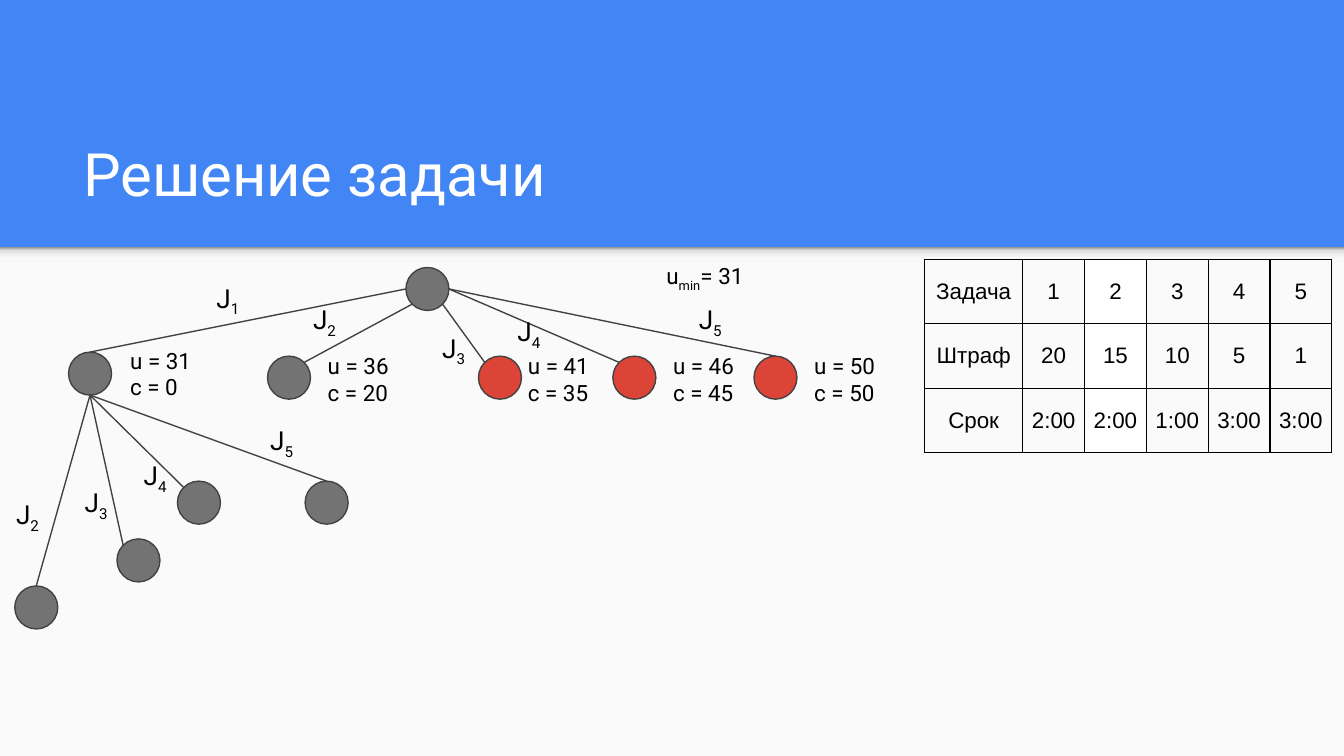
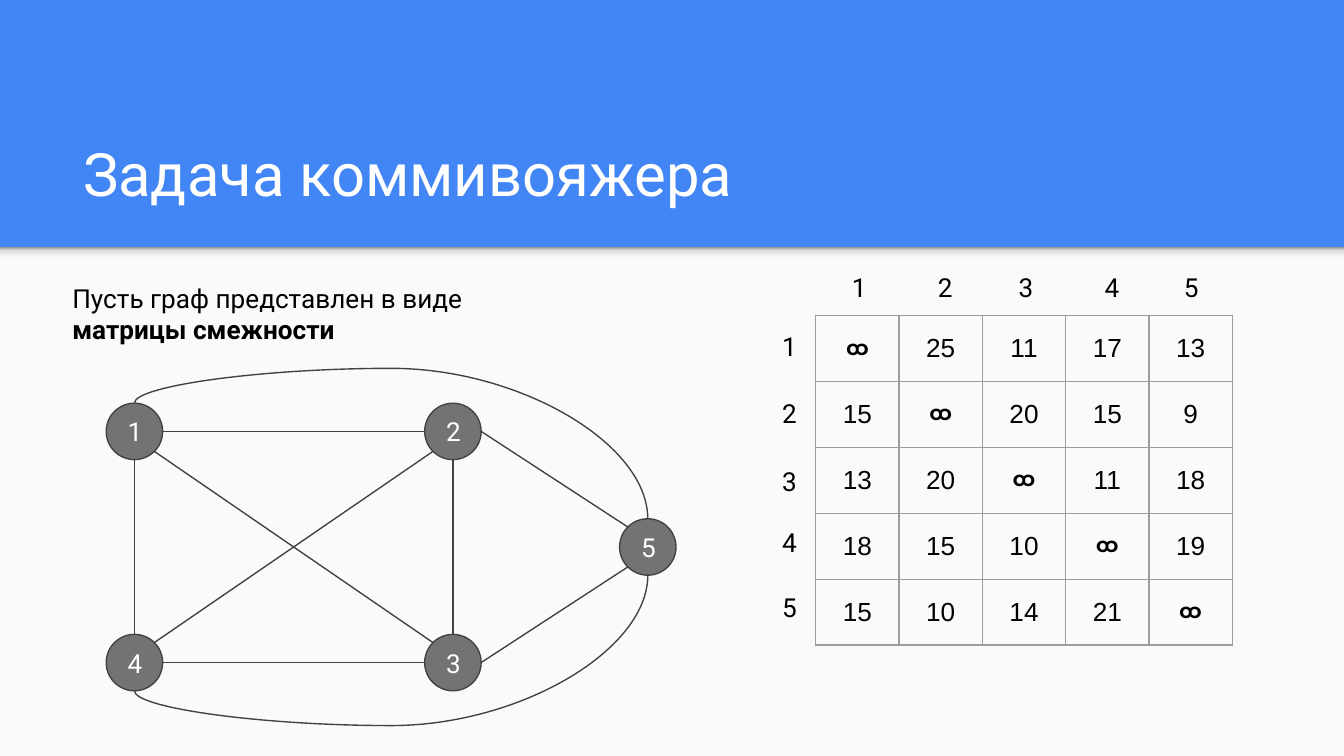
from lxml import etree
from pptx import Presentation
from pptx.dml.color import RGBColor
from pptx.enum import shapes, text
from pptx.oxml import ns
from pptx.util import Inches, Pt

BLUE = RGBColor(0x42, 0x85, 0xF4)
PAPER = RGBColor(0xFA, 0xFA, 0xFA)
WHITE = RGBColor(0xFF, 0xFF, 0xFF)
BLACK = RGBColor(0, 0, 0)
GRAY = RGBColor(0x73, 0x73, 0x73)
RED = RGBColor(0xDB, 0x44, 0x37)
OUTLINE = RGBColor(0x42, 0x42, 0x42)
MATRIX_BORDER = RGBColor(0x9E, 0x9E, 0x9E)
BAND_SHADE = [(0, "F9F9F9"), (36, "F9F9F9"), (80, "DEDEDE"), (100, "999999")]
WIDTH = 10
HEIGHT = WIDTH * 9 / 16
HEADER_HEIGHT = 1.84
LINE_WIDTH = Pt(0.75)
DIAGONAL = 0.71
SITES = {"N": (0, -1), "S": (0, 1), "W": (-1, 0), "E": (1, 0),
         "NW": (-DIAGONAL, -DIAGONAL), "NE": (DIAGONAL, -DIAGONAL),
         "SW": (-DIAGONAL, DIAGONAL), "SE": (DIAGONAL, DIAGONAL)}

TREE_RADIUS = 0.16
TREE_NODES = {
    "root": (3.18, 2.15, GRAY), "1": (0.67, 2.78, GRAY), "2": (2.15, 2.81, GRAY),
    "3": (3.72, 2.81, RED), "4": (4.72, 2.81, RED), "5": (5.77, 2.81, RED),
    "1-2": (0.27, 4.52, GRAY), "1-3": (1.03, 4.17, GRAY),
    "1-4": (1.48, 3.74, GRAY), "1-5": (2.43, 3.74, GRAY),
}
TREE_EDGES = [
    ("root", "W", "1", "N", "1", 1.49, 2),
    ("root", "SW", "2", "NE", "2", 2.21, 2.16),
    ("root", "SE", "3", "NW", "3", 3.17, 2.37),
    ("root", "E", "4", "NW", "4", 3.73, 2.25),
    ("root", "E", "5", "N", "5", 5.08, 2.16),
    ("1", "S", "1-2", "N", "2", 0, 3.61),
    ("1", "S", "1-3", "NW", "3", 0.51, 3.52),
    ("1", "S", "1-4", "NW", "4", 0.95, 3.32),
    ("1", "S", "1-5", "N", "5", 1.89, 3.06),
]
BOUNDS = [
    (31, 0, 0.87, 2.48, 0.81), (36, 20, 2.34, 2.52, 0.81), (41, 35, 3.83, 2.52, 2.54),
    (46, 45, 4.91, 2.52, 2.54), (50, 50, 5.96, 2.52, 0.69),
]
JOBS = [
    ["Задача", "1", "2", "3", "4", "5"],
    ["Штраф", "20", "15", "10", "5", "1"],
    ["Срок", "2:00", "2:00", "1:00", "3:00", "3:00"],
]

CITY_RADIUS = 0.21
CITIES = {"1": (1, 3.21), "2": (3.37, 3.21), "3": (3.37, 4.93), "4": (1, 4.93), "5": (4.82, 4.07)}
ROADS = [
    ("1", "E", "2", "W"), ("1", "S", "4", "N"), ("4", "E", "3", "W"), ("2", "S", "3", "N"),
    ("2", "SW", "4", "NE"), ("1", "SE", "3", "NW"), ("2", "E", "5", "NW"), ("3", "E", "5", "SW"),
]
CURVED_ROADS = [("5", "N", "1", "N"), ("5", "S", "4", "S")]
CURVE_BULGE = 130200
INFINITY = "ထ"
DISTANCES = [
    [INFINITY, "25", "11", "17", "13"],
    ["15", INFINITY, "20", "15", "9"],
    ["13", "20", INFINITY, "11", "18"],
    ["18", "15", "10", INFINITY, "19"],
    ["15", "10", "14", "21", INFINITY],
]
ROW_LABEL_TOPS = [2.36, 2.86, 3.36, 3.82, 4.3]
COLUMN_LABEL_LEFTS = [6.24, 6.88, 7.48, 8.12, 8.71]


def inches(*values):
    return [Inches(value) for value in values]


def apply(target, **values):
    for name, value in values.items():
        setattr(target, name, value)


def write(frame, paragraphs, size, color=BLACK, align=text.PP_ALIGN.LEFT,
          anchor=text.MSO_ANCHOR.TOP):
    apply(frame, word_wrap=True, vertical_anchor=anchor)
    for side in ("left", "top", "right", "bottom"):
        setattr(frame, f"margin_{side}", Inches(0.1))
    for index, runs in enumerate(paragraphs):
        paragraph = frame.add_paragraph() if index else frame.paragraphs[0]
        paragraph.alignment = align
        for content, style in runs:
            run = paragraph.add_run()
            run.text = content
            apply(run.font, name="Roboto", size=Pt(size), bold=style == "bold")
            run.font.color.rgb = color
            if style == "subscript":
                run.font._element.set("baseline", "-25000")


def add_text(slide, box, paragraphs, size, **options):
    shape = slide.shapes.add_textbox(*inches(*box))
    write(shape.text_frame, paragraphs, size, **options)


def add_circle(slide, center, radius, color, label=""):
    x, y = center
    shape = slide.shapes.add_shape(shapes.MSO_SHAPE.OVAL,
                                   *inches(x - radius, y - radius, 2 * radius, 2 * radius))
    shape.shadow.inherit = False
    shape.fill.solid()
    shape.fill.fore_color.rgb = color
    shape.line.color.rgb = OUTLINE
    shape.line.width = LINE_WIDTH
    if label:
        write(shape.text_frame, [[(label, "")]], 14, WHITE,
              text.PP_ALIGN.CENTER, text.MSO_ANCHOR.MIDDLE)


def site(center, radius, side):
    dx, dy = SITES[side]
    return center[0] + dx * radius, center[1] + dy * radius


def add_line(slide, start, end, kind=shapes.MSO_CONNECTOR.STRAIGHT):
    connector = slide.shapes.add_connector(kind, *inches(*start, *end))
    connector.line.color.rgb = OUTLINE
    connector.line.width = LINE_WIDTH
    etree.SubElement(connector._element.spPr, ns.qn("a:effectLst"))
    return connector


def add_curve(slide, start, end):
    middle_x, middle_y = (start[0] + end[0]) / 2, (start[1] + end[1]) / 2
    half_width, half_height = (end[1] - start[1]) / 2, (start[0] - end[0]) / 2
    connector = add_line(slide, (middle_x - half_width, middle_y - half_height),
                         (middle_x + half_width, middle_y + half_height),
                         shapes.MSO_CONNECTOR.CURVE)
    properties = connector._element.spPr
    properties.find(ns.qn("a:xfrm")).set("rot", "5400000")
    guides = properties.find(".//" + ns.qn("a:avLst"))
    etree.SubElement(guides, ns.qn("a:gd"), name="adj1", fmla=f"val {CURVE_BULGE}")


def add_borders(cell, color):
    properties = cell._tc.get_or_add_tcPr()
    for index, side in enumerate("LRTB"):
        line = etree.Element(ns.qn(f"a:ln{side}"), w=str(LINE_WIDTH))
        fill = etree.SubElement(line, ns.qn("a:solidFill"))
        etree.SubElement(fill, ns.qn("a:srgbClr"), val=str(color))
        properties.insert(index, line)


def add_grid(slide, left, top, widths, row_height, rows, size, border, margins, white_column=None):
    box = inches(left, top, sum(widths), row_height * len(rows))
    table = slide.shapes.add_table(len(rows), len(widths), *box).table
    apply(table, first_row=False, horz_banding=False)
    for column, width in zip(table.columns, widths):
        column.width = Inches(width)
    for row, values in zip(table.rows, rows):
        row.height = Inches(row_height)
        for index, (cell, value) in enumerate(zip(row.cells, values)):
            if index == white_column:
                cell.fill.solid()
                cell.fill.fore_color.rgb = WHITE
            else:
                cell.fill.background()
            add_borders(cell, border)
            side, edge = inches(*margins)
            apply(cell, text=value, vertical_anchor=text.MSO_ANCHOR.MIDDLE, margin_left=side,
                  margin_right=side, margin_top=edge, margin_bottom=edge)
            paragraph = cell.text_frame.paragraphs[0]
            paragraph.alignment = text.PP_ALIGN.CENTER
            infinite = value == INFINITY
            font = paragraph.runs[0].font
            apply(font, name="Arial", size=Pt(11 if infinite else size), bold=infinite)
            font.color.rgb = BLACK


def add_panel(slide, height):
    shape = slide.shapes.add_shape(shapes.MSO_SHAPE.RECTANGLE,
                                   *inches(0, HEADER_HEIGHT, WIDTH, height))
    shape.shadow.inherit = False
    shape.line.fill.background()
    return shape


def add_slide(presentation, title):
    slide = presentation.slides.add_slide(presentation.slide_layouts[6])
    slide.background.fill.solid()
    slide.background.fill.fore_color.rgb = BLUE
    body = add_panel(slide, HEIGHT - HEADER_HEIGHT)
    body.fill.solid()
    body.fill.fore_color.rgb = PAPER
    band = add_panel(slide, 0.12)
    band.fill.gradient()
    band.fill.gradient_angle = 90
    stops = band._element.spPr.find(".//" + ns.qn("a:gsLst"))
    for stop in list(stops):
        stops.remove(stop)
    for position, color in BAND_SHADE:
        stop = etree.SubElement(stops, ns.qn("a:gs"), pos=str(position * 1000))
        etree.SubElement(stop, ns.qn("a:srgbClr"), val=color)
    add_text(slide, (0.52, 0.81, 8.99, 0.84), [[(title, "")]], 32,
             color=WHITE, anchor=text.MSO_ANCHOR.BOTTOM)
    return slide


def build_solution(presentation):
    slide = add_slide(presentation, "Решение задачи")
    add_grid(slide, 6.88, 1.93, [0.73] + [0.46] * 5, 0.48, JOBS, 12, BLACK,
             (0.04, 0.05), white_column=2)
    for x, y, color in TREE_NODES.values():
        add_circle(slide, (x, y), TREE_RADIUS, color)
    for parent, parent_side, child, child_side, job, left, top in TREE_EDGES:
        add_line(slide, site(TREE_NODES[parent], TREE_RADIUS, parent_side),
                 site(TREE_NODES[child], TREE_RADIUS, child_side))
        add_text(slide, (left, top, 0.41, 0.44), [[("J", ""), (job, "subscript")]], 14,
                 align=text.PP_ALIGN.CENTER)
    for upper, cost, left, top, width in BOUNDS:
        add_text(slide, (left, top, width, 0.59),
                 [[(f"u = {upper}", "")], [(f"с = {cost}", "")]], 12)
    add_text(slide, (4.86, 1.85, 1.79, 0.59),
             [[("u", ""), ("min", "subscript"), ("= 31", "")]], 12)


def build_salesman(presentation):
    slide = add_slide(presentation, "Задача коммивояжера")
    for city, center in CITIES.items():
        add_circle(slide, center, CITY_RADIUS, GRAY, city)
    for roads, draw in ((ROADS, add_line), (CURVED_ROADS, add_curve)):
        for start, start_side, end, end_side in roads:
            draw(slide, site(CITIES[start], CITY_RADIUS, start_side),
                 site(CITIES[end], CITY_RADIUS, end_side))
    add_grid(slide, 6.07, 2.35, [0.62] * 5, 0.49, DISTANCES, 14, MATRIX_BORDER, (0.1, 0.1))
    for city, left, top in zip(CITIES, COLUMN_LABEL_LEFTS, ROW_LABEL_TOPS):
        for x, y in ((5.72, top), (left, 1.92)):
            add_text(slide, (x, y, 0.31, 0.44), [[(city, "")]], 14)
    add_text(slide, (0.44, 2, 5.07, 0.71),
             [[("Пусть граф представлен в виде", "")], [("матрицы смежности", "bold")]], 14)


def main():
    presentation = Presentation()
    apply(presentation, slide_width=Inches(WIDTH), slide_height=Inches(HEIGHT))
    build_solution(presentation)
    build_salesman(presentation)
    presentation.save("out.pptx")


if __name__ == "__main__":
    main()
